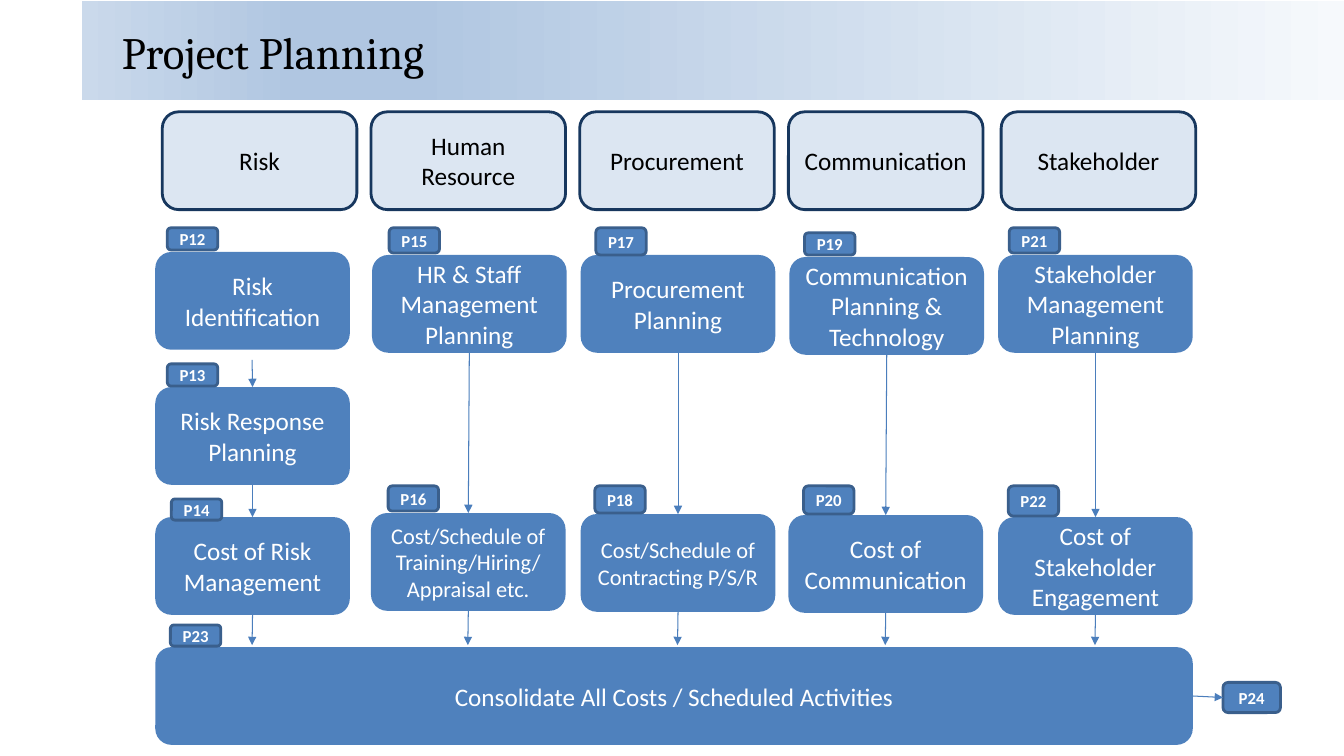
"""Build the project planning slide."""
from copy import deepcopy
from dataclasses import dataclass

from pptx import Presentation
from pptx.dml.color import RGBColor
from pptx.enum import shapes, text
from pptx.oxml.ns import qn
from pptx.util import Pt

EMU_PER_PX = 9144
BLACK = RGBColor(0x00, 0x00, 0x00)
WHITE = RGBColor(0xFF, 0xFF, 0xFF)
BLUE = RGBColor(0x4F, 0x81, 0xBD)
PALE = RGBColor(0xDC, 0xE6, 0xF2)
NAVY = RGBColor(0x17, 0x37, 0x5E)
TAG_EDGE = RGBColor(0x3A, 0x5F, 0x8C)
ARROW = RGBColor(0x4B, 0x7E, 0xBC)
BAND_STOPS = (
    (0.0, RGBColor(0xF6, 0xF9, 0xFC)),
    (0.74, RGBColor(0xB0, 0xC6, 0xE1)),
    (0.83, RGBColor(0xB0, 0xC6, 0xE1)),
    (1.0, RGBColor(0xCA, 0xD9, 0xEB)),
)
BOX_W, BOX_H = 193, 97
HEADER_TOP = 111
TAG_W = 50
ARROW_STOP = 640


@dataclass(frozen=True)
class Tag:
    """A small process number."""
    label: str
    left: int
    top: int
    height: int
    width: int = TAG_W


@dataclass(frozen=True)
class Step:
    """A planning step with its process tag."""
    label: str
    left: int
    top: int
    tag: Tag
    size: int = 18


@dataclass(frozen=True)
class Area:
    """A knowledge area heading its column of steps."""
    title: str
    left: int
    steps: tuple[Step, ...]
    first_arrow_gap: int = 0


AREAS = (
    Area("Risk", 161, (
        Step("Risk Identification", 154, 250, Tag("P12", 166, 226, 22)),
        Step("Risk Response Planning", 154, 384, Tag("P13", 166, 361, 22)),
        Step("Cost of Risk Management", 154, 513, Tag("P14", 170, 495, 21)),
    ), first_arrow_gap=10),
    Area("Human Resource", 368, (
        Step("HR & Staff Management Planning", 369, 253, Tag("P15", 386, 226, 25)),
        Step("Cost/Schedule of Training/Hiring/ Appraisal etc.", 368, 509,
             Tag("P16", 385, 482, 25), 16),
    )),
    Area("Procurement", 575, (
        Step("Procurement Planning", 576, 253, Tag("P17", 591, 226, 27)),
        Step("Cost/Schedule of Contracting P/S/R", 576, 510,
             Tag("P18", 590, 482, 27), 16),
    )),
    Area("Communication", 782, (
        Step("Communication Planning & Technology", 783, 255, Tag("P19", 798, 231, 22)),
        Step("Cost of Communication", 782, 511, Tag("P20", 797, 482, 28)),
    )),
    Area("Stakeholder", 993, (
        Step("Stakeholder Management Planning", 990, 253, Tag("P21", 1001, 226, 25)),
        Step("Cost of Stakeholder Engagement", 990, 513, Tag("P22", 1000, 482, 30)),
    )),
)
TOTAL_TAG = Tag("P23", 169, 620, 21)
NEXT_TAG = Tag("P24", 1213, 677, 30, 57)


def px(*lengths: int) -> list[int]:
    """Turn px lengths into EMU."""
    return [n * EMU_PER_PX for n in lengths]


def write(sp, label: str, align, **font) -> None:
    """Put one middle-anchored paragraph in a shape."""
    tf = sp.text_frame
    tf.word_wrap = True
    tf.vertical_anchor = text.MSO_ANCHOR.MIDDLE
    p = tf.paragraphs[0]
    p.alignment = align
    r = p.add_run()
    r.text = label
    color = font.pop("color")
    for name, value in font.items():
        setattr(r.font, name, value)
    r.font.color.rgb = color


def add_box(s, label: str, box: tuple[int, int, int, int], fill=BLUE, edge=None,
            color=WHITE, size: int = 18, bold: bool = False):
    """Draw a rounded box with centred text."""
    sp = s.shapes.add_shape(shapes.MSO_SHAPE.ROUNDED_RECTANGLE, *px(*box))
    sp.shadow.inherit = False
    sp.fill.solid()
    sp.fill.fore_color.rgb = fill
    if edge is None:
        sp.line.fill.background()
    else:
        sp.line.color.rgb = edge
        sp.line.width = Pt(2)
    write(sp, label, text.PP_ALIGN.CENTER, name="Calibri", size=Pt(size),
          bold=bold, color=color)
    return sp


def add_tag(s, tag: Tag):
    """Draw a process tag."""
    return add_box(s, tag.label, (tag.left, tag.top, tag.width, tag.height),
                   edge=TAG_EDGE, size=12, bold=True)


def add_arrow(s, start: tuple[int, int] = (0, 0), end: tuple[int, int] = (0, 0)):
    """Draw a thin arrow."""
    cx = s.shapes.add_connector(shapes.MSO_CONNECTOR.STRAIGHT, *px(*start, *end))
    cx.line.color.rgb = ARROW
    cx.line.width = Pt(0.75)
    sp_pr = cx.element.spPr
    tail = sp_pr.makeelement(qn("a:tailEnd"), {"type": "triangle"})
    sp_pr.find(qn("a:ln")).append(tail)
    sp_pr.append(sp_pr.makeelement(qn("a:effectLst"), {}))
    return cx


def add_title(s) -> None:
    """Draw the gradient band and the slide title."""
    band = s.shapes.add_shape(shapes.MSO_SHAPE.RECTANGLE, *px(81, 1, 1253, 98))
    band.shadow.inherit = False
    band.line.fill.background()
    band.fill.gradient()
    band.fill.gradient_angle = 180
    stops = band.element.spPr.find(qn("a:gradFill")).find(qn("a:gsLst"))
    while len(stops) < len(BAND_STOPS):
        stops.append(deepcopy(stops[0]))
    for stop, (position, color) in zip(band.fill.gradient_stops, BAND_STOPS):
        stop.position = position
        stop.color.rgb = color
    title = s.shapes.add_textbox(*px(111, 6, 1178, 91))
    write(title, "Project Planning", text.PP_ALIGN.LEFT, name="Cambria",
          size=Pt(32), color=BLACK)


def add_area(s, area: Area) -> list:
    """Draw a heading and its steps, returning the step boxes."""
    add_box(s, area.title, (area.left, HEADER_TOP, BOX_W, BOX_H),
            fill=PALE, edge=NAVY, color=BLACK)
    return [add_box(s, step.label, (step.left, step.top, BOX_W, BOX_H), size=step.size)
            for step in area.steps]


def link_area(s, area: Area, boxes: list) -> None:
    """Join the steps of a column and lead the last one down."""
    for i, box in enumerate(boxes):
        step = area.steps[i]
        center, bottom = step.left + BOX_W // 2, step.top + BOX_H
        gap = area.first_arrow_gap if i == 0 else 0
        cx = add_arrow(s, (center, bottom + gap), (center, ARROW_STOP))
        if not gap:
            cx.begin_connect(box, 2)
        if box is not boxes[-1]:
            cx.end_connect(boxes[i + 1], 0)


def main() -> None:
    """Build and save the slide."""
    prs = Presentation()
    prs.slide_width, prs.slide_height = px(1333, 750)
    s = prs.slides.add_slide(prs.slide_layouts[6])
    add_title(s)
    columns = [add_area(s, area) for area in AREAS]
    total = add_box(s, "Consolidate All Costs / Scheduled Activities",
                    (154, 642, 1029, BOX_H))
    for area, boxes in zip(AREAS, columns):
        link_area(s, area, boxes)
    for area in AREAS:
        for step in area.steps:
            add_tag(s, step.tag)
    add_tag(s, TOTAL_TAG)
    following = add_tag(s, NEXT_TAG)
    cx = add_arrow(s)
    cx.begin_connect(total, 3)
    cx.end_connect(following, 1)
    prs.save("out.pptx")


if __name__ == "__main__":
    main()
